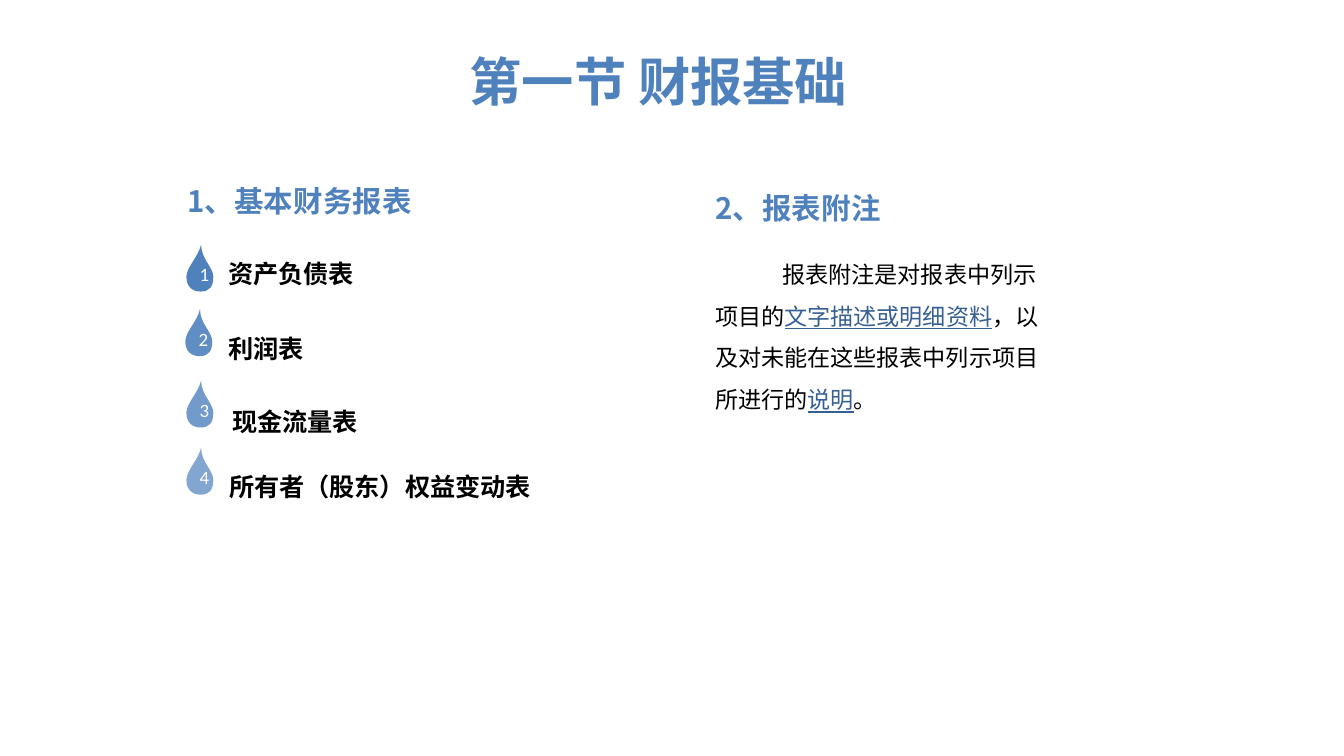
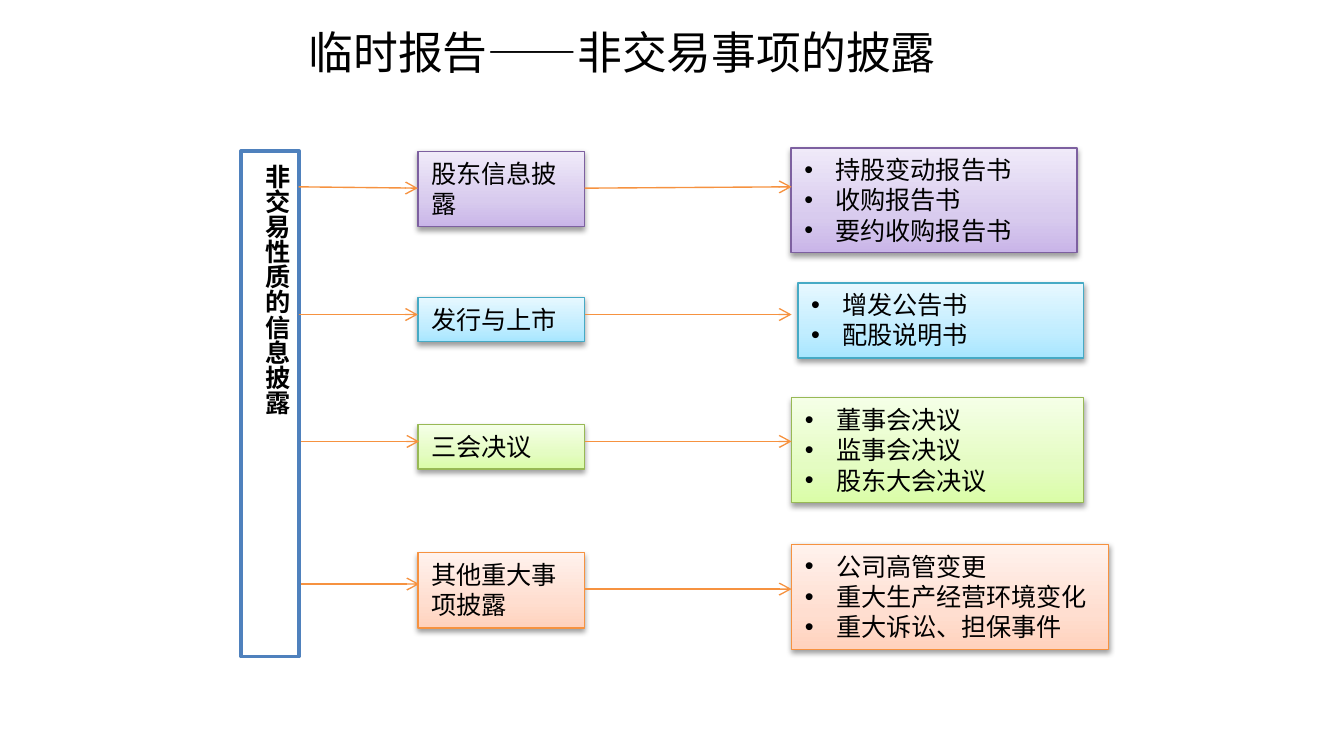
"""Build two slides on financial statements and on disclosure of non-trading matters."""
import pptx
import pptx.util
import pptx.dml.color
import pptx.enum.shapes
import pptx.enum.text
import pptx.oxml.ns
from lxml import etree

Pt = pptx.util.Pt
qn = pptx.oxml.ns.qn
ALIGN = pptx.enum.text.PP_ALIGN
ANCHOR = pptx.enum.text.MSO_ANCHOR

COLORS = {"blue": "4F81BD", "link": "376092", "black": "000000", "white": "FFFFFF",
          "arrow": "F69240"}
PALETTES = {
    "purple": ("7D60A0", ("C9B5E8", "D8CBEE", "F0EAF9")),
    "cyan": ("46AAC5", ("A7E6FF", "C1EDFF", "E7F8FF")),
    "green": ("98B955", ("DAFDA7", "E4FCC2", "F5FFE7")),
    "orange": ("F69240", ("FFD2BD", "FFDED0", "FFF2ED")),
}
GRADIENT_STOPS = (0, 35, 100)
SANS = "Noto Sans CJK SC"
LATIN = "Calibri"

BASICS_TITLE = "第一节 财报基础"
HEADINGS = [("1、基本财务报表", (93.4, 94.7, 180, 26.6)),
            ("2、报表附注", (376.2, 98.3, 144.7, 26.6))]
STATEMENTS = [
    ("资产负债表", (99.9, 131), (115.2, 130)),
    ("利润表", (99.3, 165.6), (115.2, 170)),
    ("现金流量表", (99.9, 203.8), (117.5, 209.5)),
    ("所有者（股东）权益变动表", (99.9, 239.8), (115.9, 244.1)),
]
DROP_START = (0, 17.3)
DROP_CURVES = [
    ((0, 22.3), (2.9, 25.2), (7.6, 25.2)),
    ((12.6, 25.2), (14.4, 22.3), (14.4, 17.3)),
    ((14.4, 12.2), (7.9, 7.9), (7.9, 0)),
    ((6.5, 6.5), (0, 12.2), (0, 17.3)),
]
NOTES = [("报表附注是对报表中列示项目的", False), ("文字描述或明细资料", True),
         ("，以及对未能在这些报表中列示项目所进行的", False), ("说明", True), ("。", False)]

DISCLOSURE_TITLE = "临时报告——非交易事项的披露"
ROOT = ("非交易性质的信息披露", (129.2, 81, 31, 270.7))
TOPICS = [
    ("purple", "股东信息披露", (81.2, 40.3), ["持股变动报告书", "收购报告书", "要约收购报告书"],
     (423.8, 79.2, 153.2, 56.2), (160, 100.1, 223.9, 100.8), (100.8, 100.1)),
    ("cyan", "发行与上市", (159.3, 23.8), ["增发公告书", "配股说明书"],
     (427.4, 151.6, 153.2, 40.3), (160, 168.5, 223.9, 168.5), (168.5, 168.5)),
    ("green", "三会决议", (227.5, 23.8), ["董事会决议", "监事会决议", "股东大会决议"],
     (424.1, 213.1, 156.5, 56.2), (161.3, 236.5, 224.6, 236.5), (236.5, 236.5)),
    ("orange", "其他重大事项披露", (296.1, 40.3),
     ["公司高管变更", "重大生产经营环境变化", "重大诉讼、担保事件"],
     (424.1, 291.7, 169.9, 56.2), (161.3, 312.9, 224.6, 312.9), (315.6, 315.6)),
]
TOPIC_LEFT, TOPIC_WIDTH, DETAIL_LEFT = 223.9, 89.3, 424.1


def rgb(value):
    return pptx.dml.color.RGBColor.from_string(value)


def points(values):
    return [Pt(value) for value in values]


def add_run(paragraph, text, size, font=LATIN, east_asian=None, color="black", bold=False,
            underline=False):
    run = paragraph.add_run()
    run.text = text
    run.font.size = Pt(size)
    run.font.bold = bold
    run.font.underline = underline
    run.font.color.rgb = rgb(COLORS[color])
    run.font.name = font
    latin = run.font._element.find(qn("a:latin"))
    latin.addnext(etree.Element(qn("a:ea"), typeface=east_asian or font))


def add_title(slide, text, box, align, anchor, **style):
    title = slide.shapes.title
    title.left, title.top, title.width, title.height = points(box)
    title.text_frame.vertical_anchor = anchor
    paragraph = title.text_frame.paragraphs[0]
    paragraph.alignment = align
    add_run(paragraph, text, **style)


def add_text(slide, runs, box, spacing=1.0, indent=0):
    frame = slide.shapes.add_textbox(*points(box)).text_frame
    frame.word_wrap = True
    paragraph = frame.paragraphs[0]
    paragraph.line_spacing = spacing
    if indent:
        paragraph._p.get_or_add_pPr().set("indent", str(Pt(indent)))
    for text, style in runs:
        add_run(paragraph, text, font=SANS, **style)


def draw_drop(slide, left, top):
    builder = slide.shapes.build_freeform(*points(DROP_START))
    builder.add_line_segments([points(curve[-1]) for curve in DROP_CURVES], close=True)
    shape = builder.convert_to_shape(Pt(left), Pt(top))
    segments = shape._element.spPr.findall(".//" + qn("a:lnTo"))
    for segment, curve in zip(segments, DROP_CURVES):
        bezier = etree.Element(qn("a:cubicBezTo"))
        for x, y in curve:
            etree.SubElement(bezier, qn("a:pt"), x=str(Pt(x)), y=str(Pt(y)))
        segment.getparent().replace(segment, bezier)
    return shape


def add_drop(slide, number, left, top, opacity):
    shape = draw_drop(slide, left, top)
    shape.shadow.inherit = False
    shape.fill.solid()
    shape.fill.fore_color.rgb = rgb(COLORS["blue"])
    shape.line.fill.background()
    if opacity < 100:
        color = shape._element.spPr.find(".//" + qn("a:srgbClr"))
        etree.SubElement(color, qn("a:alpha"), val=str(opacity * 1000))
    frame = shape.text_frame
    frame.word_wrap = False
    frame.vertical_anchor = ANCHOR.BOTTOM
    frame.margin_left, frame.margin_right, frame.margin_bottom = points((5, 0, 3.4))
    paragraph = frame.paragraphs[0]
    paragraph.alignment = ALIGN.CENTER
    add_run(paragraph, str(number), 10.1, color="white")


def add_box(slide, box, line_color, line_width):
    shape = slide.shapes.add_shape(pptx.enum.shapes.MSO_SHAPE.RECTANGLE, *points(box))
    shape.shadow.inherit = False
    shape.line.color.rgb = rgb(line_color)
    shape.line.width = Pt(line_width)
    shape.text_frame.word_wrap = True
    shape.text_frame.vertical_anchor = ANCHOR.TOP
    return shape


def add_gradient_box(slide, lines, box, palette, bulleted=False):
    line_color, shades = PALETTES[palette]
    shape = add_box(slide, box, line_color, 0.75)
    shape.fill.gradient()
    shape.fill.gradient_angle = 90
    properties = shape._element.spPr
    stops = properties.find(".//" + qn("a:gsLst"))
    stops.clear()
    for position, shade in zip(GRADIENT_STOPS, shades):
        stop = etree.SubElement(stops, qn("a:gs"), pos=str(position * 1000))
        etree.SubElement(stop, qn("a:srgbClr"), val=shade)
    shadow = etree.SubElement(properties.find(qn("a:effectLst")), qn("a:outerShdw"),
                              blurRad=str(Pt(3.1)), dist=str(Pt(1.6)), dir="5400000",
                              rotWithShape="0")
    shadow_color = etree.SubElement(shadow, qn("a:srgbClr"), val=COLORS["black"])
    etree.SubElement(shadow_color, qn("a:alpha"), val="38000")
    frame = shape.text_frame
    for index, text in enumerate(lines):
        paragraph = frame.add_paragraph() if index else frame.paragraphs[0]
        paragraph.alignment = ALIGN.LEFT
        if bulleted:
            layout = paragraph._p.get_or_add_pPr()
            layout.set("marL", str(Pt(16.8)))
            layout.set("indent", str(-Pt(16.8)))
            etree.SubElement(layout, qn("a:buFont"), typeface="Arial")
            etree.SubElement(layout, qn("a:buChar"), char="•")
        add_run(paragraph, text, 13.5)


def add_arrow(slide, ends):
    connector = slide.shapes.add_connector(
        pptx.enum.shapes.MSO_CONNECTOR.STRAIGHT, *points(ends))
    connector.line.color.rgb = rgb(COLORS["arrow"])
    connector.line.width = Pt(0.75)
    etree.SubElement(connector.line._get_or_add_ln(), qn("a:tailEnd"), type="arrow")
    etree.SubElement(connector._element.spPr, qn("a:effectLst"))


def build_basics(slide):
    add_title(slide, BASICS_TITLE, (244.5, 23, 320.4, 59), ALIGN.LEFT, ANCHOR.TOP,
              size=28, font=SANS, color="blue", bold=True)
    for text, box in HEADINGS:
        add_text(slide, [(text, {"size": 15.8, "color": "blue", "bold": True})], box)
    for number, (text, drop, label) in enumerate(STATEMENTS, 1):
        add_drop(slide, number, *drop, opacity=110 - 10 * number)
        add_text(slide, [(text, {"size": 13.5, "bold": True})], (*label, 185.8, 25.2), 1.3)
    runs = [(text, {"size": 12.4, "color": "link" if linked else "black", "underline": linked})
            for text, linked in NOTES]
    add_text(slide, runs, (376.2, 128.6, 192.2, 117.4), 1.5, 36)


def build_disclosure(slide):
    add_title(slide, DISCLOSURE_TITLE, (113, 2.2, 440.6, 50.4), ALIGN.CENTER, ANCHOR.MIDDLE,
              size=24, east_asian=SANS)
    text, box = ROOT
    root = add_box(slide, box, COLORS["blue"], 2)
    root.fill.solid()
    root.fill.fore_color.rgb = rgb(COLORS["white"])
    root.text_frame._txBody.bodyPr.set("vert", "eaVert")
    paragraph = root.text_frame.paragraphs[0]
    paragraph.alignment = ALIGN.LEFT
    add_run(paragraph, text, 13.5, bold=True)
    for palette, topic, (top, height), details, detail_box, root_arrow, levels in TOPICS:
        add_gradient_box(slide, [topic], (TOPIC_LEFT, top, TOPIC_WIDTH, height), palette)
        add_gradient_box(slide, details, detail_box, palette, bulleted=True)
        add_arrow(slide, root_arrow)
        add_arrow(slide, (TOPIC_LEFT + TOPIC_WIDTH, levels[0], DETAIL_LEFT, levels[1]))


def main():
    presentation = pptx.Presentation()
    presentation.slide_width, presentation.slide_height = points((720, 405))
    for build in (build_basics, build_disclosure):
        build(presentation.slides.add_slide(presentation.slide_layouts[5]))
    presentation.save("out.pptx")


if __name__ == "__main__":
    main()
